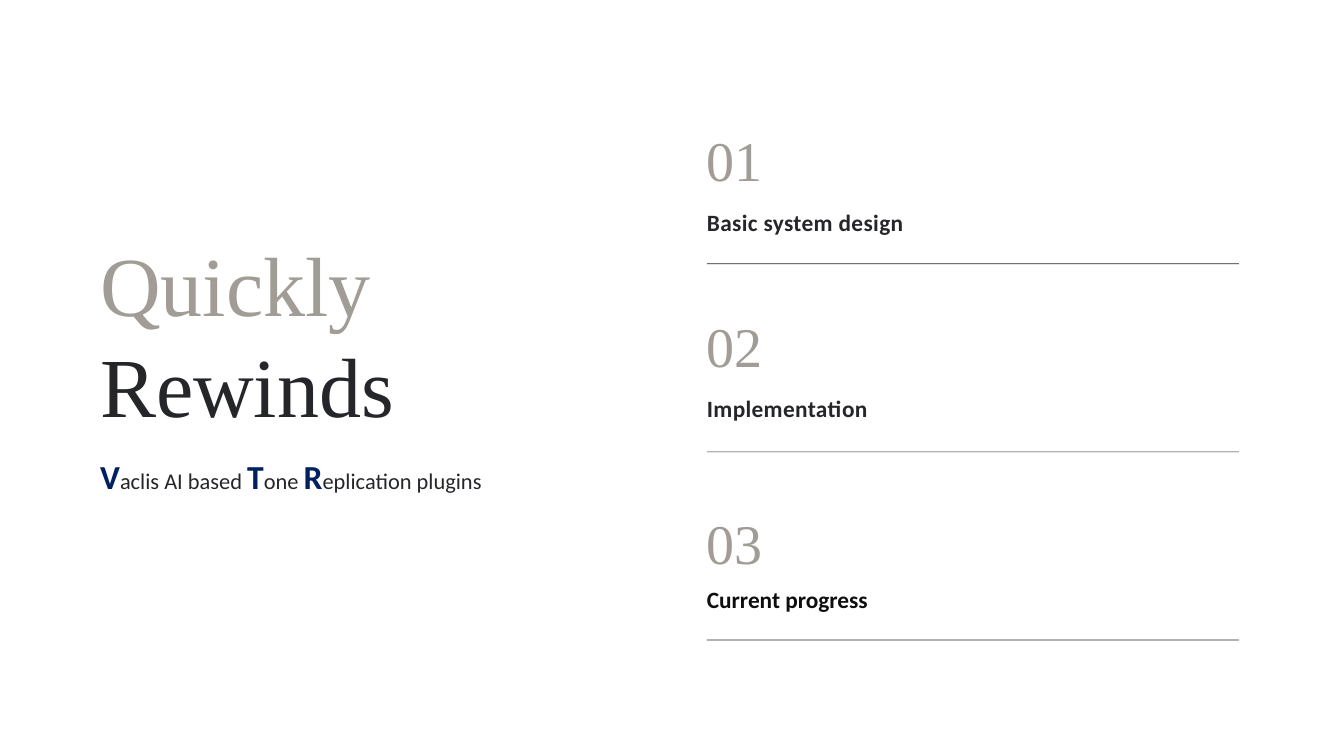
import pptx
import pptx.dml.color
import pptx.enum.shapes
import pptx.enum.text
import pptx.util

Pt = pptx.util.Pt
COLORS = {"taupe": "A19C95", "ink": "252629", "navy": "002060", "black": "0E0E0E"}
SERIF = "Times New Roman"
SANS = "Calibri"


class Deck:
    def __init__(self, width, height):
        self.prs = pptx.Presentation()
        self.prs.slide_width = Pt(width)
        self.prs.slide_height = Pt(height)
        self.s = self.prs.slides.add_slide(self.prs.slide_layouts[0])

    def color(self, name):
        return pptx.dml.color.RGBColor.from_string(COLORS[name])

    def frame(self, sp, x, y, w, h):
        sp.left, sp.top, sp.width, sp.height = Pt(x), Pt(y), Pt(w), Pt(h)
        tf = sp.text_frame
        tf.margin_left = tf.margin_top = tf.margin_right = tf.margin_bottom = 0
        tf.word_wrap = True
        tf.auto_size = pptx.enum.text.MSO_AUTO_SIZE.NONE
        tf.vertical_anchor = pptx.enum.text.MSO_ANCHOR.TOP
        return tf

    def style(self, p, font, size, color, bold=False, leading=None):
        p.alignment = pptx.enum.text.PP_ALIGN.LEFT
        p.space_before = Pt(0)
        if leading:
            p.line_spacing = Pt(leading)
        p.font.name = font
        p.font.size = Pt(size)
        p.font.bold = bold
        p.font.color.rgb = self.color(color)

    def title(self, lines, x, y, w, h):
        tf = self.frame(self.s.shapes.title, x, y, w, h)
        for i, (text, color) in enumerate(lines):
            p = tf.add_paragraph() if i else tf.paragraphs[0]
            p.add_run().text = text
            self.style(p, SERIF, 90, color, leading=108)

    def subtitle(self, words, x, y, w, h):
        p = self.frame(self.s.placeholders[1], x, y, w, h).paragraphs[0]
        self.style(p, SANS, 24, "ink", leading=32.2)
        for initial, rest in words:
            r = p.add_run()
            r.text = initial
            r.font.size = Pt(36)
            r.font.bold = True
            r.font.color.rgb = self.color("navy")
            p.add_run().text = rest

    def text(self, text, x, y, w, h, font, size, color, bold=False, leading=None, tracking=0):
        sp = self.s.shapes.add_textbox(0, 0, 0, 0)
        p = self.frame(sp, x, y, w, h).paragraphs[0]
        r = p.add_run()
        r.text = text
        self.style(p, font, size, color, bold, leading)
        if tracking:
            r.font._element.set("spc", str(round(tracking * 100)))

    def rule(self, x, y, w):
        sp = self.s.shapes.add_shape(
            pptx.enum.shapes.MSO_SHAPE.RECTANGLE, Pt(x), Pt(y), Pt(w), Pt(0.75))
        sp.shadow.inherit = False
        sp.fill.solid()
        sp.fill.fore_color.rgb = self.color("ink")
        sp.line.fill.background()


def main():
    deck = Deck(1440, 810)
    deck.title([("Quickly", "taupe"), ("Rewinds", "ink")], 107.3, 249, 511, 216)
    deck.subtitle([("V", "aclis AI based "), ("T", "one "), ("R", "eplication plugins")],
                  107.3, 499, 511, 32.4)

    x = 757.4
    sections = [
        ("Basic system design", 134.6, 580, "ink", 35, 0.4),
        ("Implementation", 334.3, 580, "ink", 35, 0.4),
        ("Current progress", 544.3, 682.5, "black", None, 0),
    ]
    for i, (label, y, w, color, leading, tracking) in enumerate(sections):
        deck.text(f"{i + 1:02}", x, y, w, 72, SERIF, 60, "taupe", leading=72)
        deck.text(label, x, y + 83, w, 31, SANS, 25, color, True, leading, tracking)
        deck.rule(x, 282.2 + 201.6 * i, 570)

    deck.prs.save("out.pptx")


if __name__ == "__main__":
    main()
